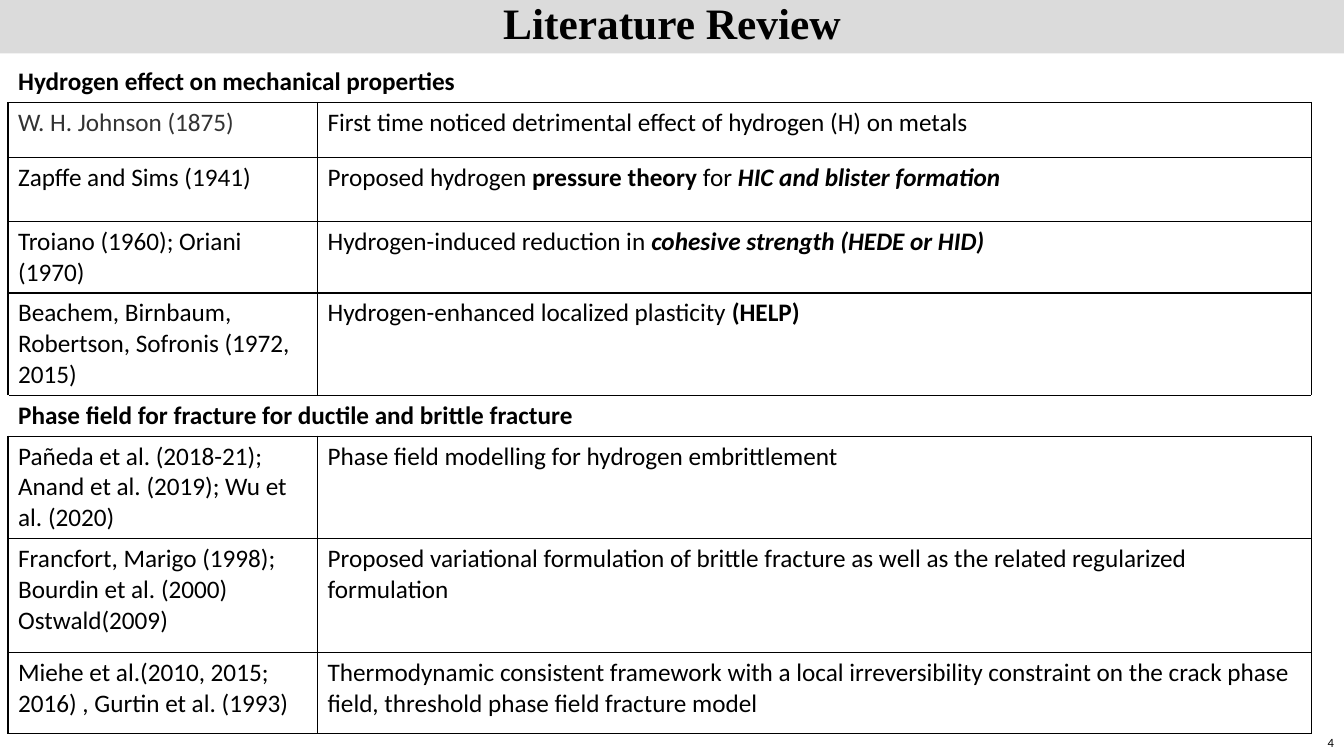
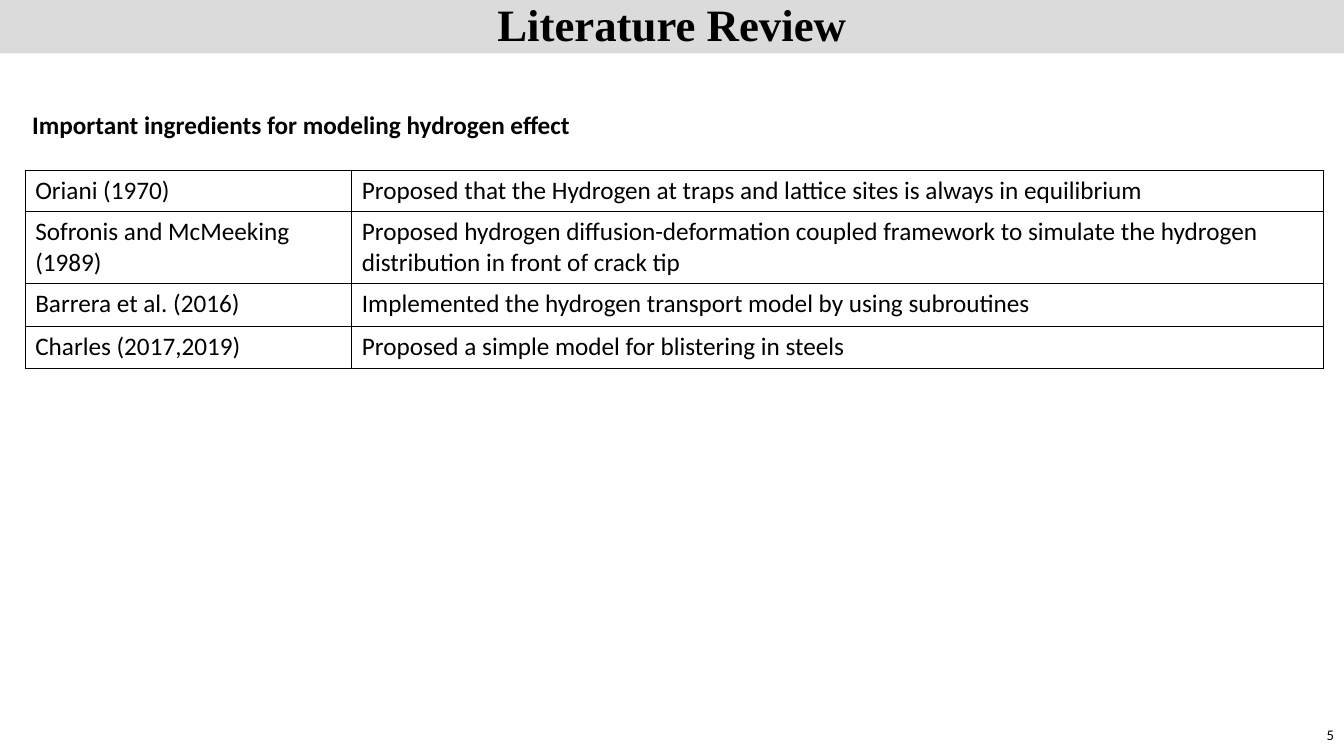
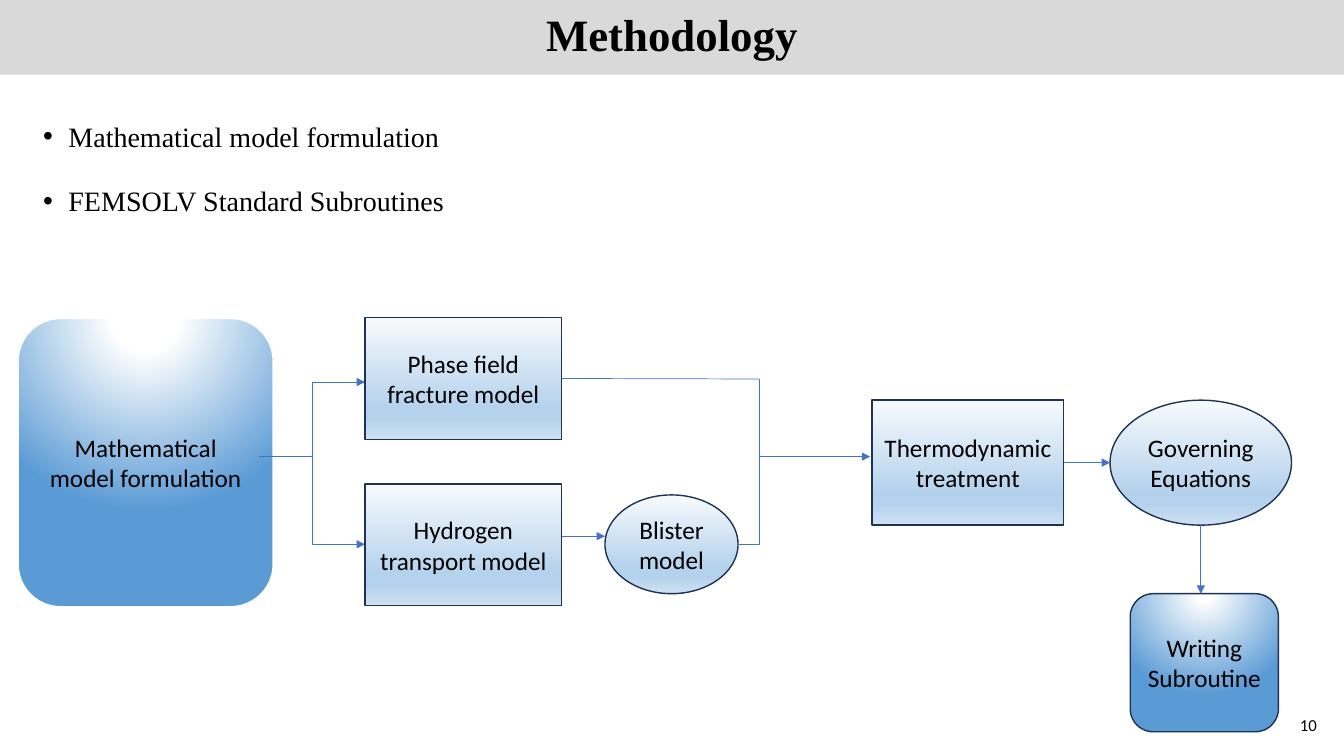
"""Build three slides: two literature review tables and a methodology flow chart."""
from pptx import Presentation
from pptx.dml.color import RGBColor
from pptx.enum.shapes import MSO_CONNECTOR, MSO_SHAPE
from pptx.enum.text import MSO_ANCHOR, PP_ALIGN
from pptx.oxml import parse_xml
from pptx.oxml.ns import nsdecls
from pptx.util import Inches, Pt

RECT = MSO_SHAPE.RECTANGLE
ROUND = MSO_SHAPE.ROUNDED_RECTANGLE
OVAL = MSO_SHAPE.OVAL
STRAIGHT = MSO_CONNECTOR.STRAIGHT
ELBOW = MSO_CONNECTOR.ELBOW
MIDDLE = MSO_ANCHOR.MIDDLE
LEFT, CENTER, RIGHT = PP_ALIGN.LEFT, PP_ALIGN.CENTER, PP_ALIGN.RIGHT

BLACK = RGBColor(0x00, 0x00, 0x00)
WHITE = RGBColor(0xFF, 0xFF, 0xFF)
CHARCOAL = RGBColor(0x33, 0x33, 0x33)
BAND = RGBColor(0xDB, 0xDB, 0xDB)
BAND_DARK = RGBColor(0xD9, 0xD9, 0xD9)
NAVY = RGBColor(0x1E, 0x32, 0x56)
ARROW = RGBColor(0x44, 0x72, 0xC4)
BLUE = RGBColor(0x5B, 0x9B, 0xD5)
PALE = RGBColor(0xF7, 0xFA, 0xFD)
SKY = RGBColor(0xB5, 0xD2, 0xEC)
MIST = RGBColor(0xCE, 0xE1, 0xF2)

SANS, SERIF = "Calibri", "Times New Roman"
SLIDE_W, SLIDE_H = 13.33, 7.5
BOTTOM, RIGHT_SIDE = 2, 3

LINEAR = '<a:lin ang="5400000" scaled="0"/>'
RADIAL = ('<a:path path="circle"><a:fillToRect l="50000" t="-80000" '
          'r="50000" b="180000"/></a:path>')
SOFT = ([(0, PALE), (74, SKY), (83, SKY), (100, MIST)], LINEAR)
GLOW = ([(0, WHITE), (17, WHITE), (100, BLUE)], RADIAL)
SMALL_GLOW = ([(0, WHITE), (7, WHITE), (100, BLUE)], RADIAL)

HYDROGEN_ROWS = [
    (0.39, [[("Hydrogen effect on mechanical properties", "b")]]),
    (0.55, [[("W. H. Johnson (1875)", "", CHARCOAL)],
            "First time noticed detrimental effect of hydrogen (H) on metals"]),
    (0.63, ["Zapffe and Sims (1941)",
            [("Proposed hydrogen ", ""), ("pressure theory ", "b"),
             ("for ", ""), ("HIC and blister formation", "bi")]]),
    (0.68, ["Troiano (1960); Oriani (1970)",
            [("Hydrogen-induced reduction in ", ""),
             ("cohesive strength (HEDE or HID)", "bi")]]),
    (0.98, ["Beachem, Birnbaum, Robertson, Sofronis (1972, 2015)",
            [("Hydrogen-enhanced localized plasticity ", ""),
             ("(HELP)", "b")]]),
    (0.39, [[("Phase field for fracture for ductile and brittle fracture",
              "b")]]),
    (1.01, ["Pañeda et al. (2018-21); Anand et al. (2019); Wu et al. (2020)",
            "Phase field modelling for hydrogen embrittlement"]),
    (1.13, ["Francfort, Marigo (1998);\nBourdin et al. (2000) Ostwald(2009)",
            "Proposed variational formulation of brittle fracture as well as "
            "the related regularized formulation"]),
    (0.8, ["Miehe et al.(2010, 2015; 2016) , Gurtin et al. (1993)",
           "Thermodynamic consistent framework with a local irreversibility "
           "constraint on the crack phase field, threshold phase field "
           "fracture model"]),
]

INGREDIENT_ROWS = [
    (0.41, ["Oriani (1970)",
            "Proposed that the Hydrogen at traps and lattice sites is always "
            "in equilibrium"]),
    (0.71, ["Sofronis and McMeeking (1989)",
            "Proposed hydrogen diffusion-deformation coupled framework to "
            "simulate the hydrogen distribution in front of crack tip"]),
    (0.43, ["Barrera et al. (2016)",
            "Implemented the hydrogen transport model by using subroutines"]),
    (0.42, ["Charles (2017,2019)",
            "Proposed a simple model for blistering in steels"]),
]


def write(tf, content, size=18, font=SANS, align=LEFT, spacing=None):
    """Fill a text frame from a string or a list of (text, style, colour) runs."""
    tf.word_wrap = True
    if isinstance(content, str):
        paras = [[(line, "")] for line in content.split("\n")]
    else:
        paras = [content]
    for i, runs in enumerate(paras):
        p = tf.add_paragraph() if i else tf.paragraphs[0]
        p.alignment = align
        p.line_spacing = spacing
        for text, style, *color in runs:
            r = p.add_run()
            r.text = text
            r.font.name = font
            r.font.size = Pt(size)
            r.font.bold = "b" in style
            r.font.italic = "i" in style
            r.font.color.rgb = color[0] if color else BLACK


def add_band(s, title, height=0.53, size=32, color=BAND, spacing=0.9):
    """Add the full-width title band."""
    sp = s.shapes.add_shape(RECT, 0, 0, Inches(SLIDE_W), Inches(height))
    sp.shadow.inherit = False
    sp.fill.solid()
    sp.fill.fore_color.rgb = color
    sp.line.fill.background()
    sp.text_frame.vertical_anchor = MIDDLE
    write(sp.text_frame, [(title, "b")], size, SERIF, CENTER, spacing)


def add_page_number(s, number, top, size, right=SLIDE_W):
    """Add a right-aligned page number."""
    width = 0.75
    sp = s.shapes.add_textbox(Inches(right - width), Inches(top),
                              Inches(width), Inches(0.4))
    sp.text_frame.vertical_anchor = MIDDLE
    write(sp.text_frame, number, size, align=RIGHT)


def style_cell(cell, edges):
    """Give a cell a white fill and black lines on the named edges."""
    cell.fill.solid()
    cell.fill.fore_color.rgb = WHITE
    tc_pr = cell._tc.get_or_add_tcPr()
    for i, edge in enumerate(edges):
        tc_pr.insert(i, parse_xml(
            f'<a:ln{edge} {nsdecls("a")} w="12700"><a:solidFill>'
            f'<a:srgbClr val="{BLACK}"/></a:solidFill></a:ln{edge}>'))


def add_grid(s, left, top, widths, rows, lined=True, spacing=None):
    """Add a table; a row with a single entry spans all columns."""
    heights = [height for height, _ in rows]
    frame = s.shapes.add_table(len(rows), len(widths), Inches(left),
                               Inches(top), Inches(sum(widths)),
                               Inches(sum(heights)))
    table = frame.table
    table.first_row = False
    table.horz_banding = False
    for column, width in zip(table.columns, widths):
        column.width = Inches(width)
    for i, (height, entries) in enumerate(rows):
        table.rows[i].height = Inches(height)
        cells = list(table.rows[i].cells)
        edges = "LRTB" if lined else ""
        if len(entries) < len(cells):
            cells[0].merge(cells[-1])
            edges = "TB" if i else "B"
        for cell in cells:
            style_cell(cell, edges)
        for cell, entry in zip(cells, entries):
            write(cell.text_frame, entry, spacing=spacing)
    return table


def add_bullets(s, left, top, width, height, items):
    """Add a bulleted list."""
    sp = s.shapes.add_textbox(Inches(left), Inches(top), Inches(width),
                              Inches(height))
    write(sp.text_frame, "\n".join(items), 20, SERIF, spacing=1.5)
    for p in sp.text_frame.paragraphs:
        p.space_before = Pt(10)
        p_pr = p._p.get_or_add_pPr()
        p_pr.set("marL", str(Inches(0.25)))
        p_pr.set("indent", str(Inches(-0.25)))
        p_pr.append(parse_xml(f'<a:buFont {nsdecls("a")} typeface="Arial"/>'))
        p_pr.append(parse_xml(f'<a:buChar {nsdecls("a")} char="•"/>'))


def add_node(s, kind, left, top, width, height, text, gradient=SOFT,
             line=NAVY):
    """Add a gradient-filled flow chart node."""
    sp = s.shapes.add_shape(kind, Inches(left), Inches(top), Inches(width),
                            Inches(height))
    stops, direction = gradient
    gs = "".join(f'<a:gs pos="{pos * 1000}"><a:srgbClr val="{color}"/></a:gs>'
                 for pos, color in stops)
    sp._element.spPr.insert(2, parse_xml(
        f'<a:gradFill {nsdecls("a")} rotWithShape="1"><a:gsLst>{gs}</a:gsLst>'
        f'{direction}</a:gradFill>'))
    sp.shadow.inherit = False
    sp.line.color.rgb = line
    sp.line.width = Pt(1)
    sp.text_frame.vertical_anchor = MIDDLE
    write(sp.text_frame, text, align=CENTER)
    return sp


def add_link(s, kind, x1, y1, x2, y2, arrow=True):
    """Add a thin connector, with an arrowhead at its end if asked."""
    link = s.shapes.add_connector(kind, Inches(x1), Inches(y1), Inches(x2),
                                  Inches(y2))
    link.line.color.rgb = ARROW
    link.line.width = Pt(0.5)
    if arrow:
        link.line._get_or_add_ln().append(
            parse_xml(f'<a:tailEnd {nsdecls("a")} type="triangle"/>'))
    link._element.spPr.append(parse_xml(f'<a:effectLst {nsdecls("a")}/>'))
    return link


def build_review(s):
    """Build the slide on hydrogen effects and phase field fracture."""
    add_grid(s, 0.08, 0.61, [3.07, 9.86], HYDROGEN_ROWS)
    add_band(s, "Literature Review", size=31, spacing=0.8)
    add_page_number(s, "4", 7.17, 9)


def build_ingredients(s):
    """Build the slide on modelling ingredients."""
    heading = [(0.62, [[("Important ingredients for modeling hydrogen effect",
                         "b")]])]
    table = add_grid(s, 0.25, 1.07, [13.08], heading, False, 1.07)
    cell = table.cell(0, 0)
    cell.margin_left = cell.margin_right = Inches(0.07)
    cell.margin_top = cell.margin_bottom = 0
    add_grid(s, 0.25, 1.69, [3.24, 9.64], INGREDIENT_ROWS)
    add_page_number(s, "5", 7.09, 10.5)
    add_band(s, "Literature Review")


def build_methodology(s):
    """Build the methodology flow chart."""
    add_band(s, "Methodology", 0.74, color=BAND_DARK)
    add_bullets(s, 0.33, 0.97, 5.85, 2.8,
                ["Mathematical model formulation",
                 "FEMSOLV Standard Subroutines"])
    add_page_number(s, "10", 6.99, 12, 13.16)

    add_node(s, ROUND, 0.18, 3.16, 2.53, 2.86,
             "Mathematical model formulation", GLOW, WHITE)
    add_link(s, ELBOW, 2.58, 4.53, 3.62, 5.4)
    add_link(s, ELBOW, 2.57, 4.53, 3.62, 3.79)
    phase = add_node(s, RECT, 3.62, 3.15, 1.95, 1.21,
                     "Phase field fracture model")
    add_node(s, RECT, 3.62, 4.8, 1.95, 1.21, "Hydrogen transport model")
    add_node(s, OVAL, 6, 4.91, 1.32, 0.98, "Blister model")
    thermo = add_node(s, RECT, 8.65, 3.97, 1.9, 1.24,
                      "Thermodynamic treatment")
    add_node(s, OVAL, 11.01, 3.97, 1.8, 1.24, "Governing Equations")
    add_node(s, ROUND, 11.21, 5.89, 1.47, 1.37, "Writing Subroutine",
             SMALL_GLOW)

    add_link(s, STRAIGHT, 5.57, 5.32, 6, 5.32)
    corner = add_link(s, ELBOW, 7.32, 5.4, 7.53, 3.76, False)
    corner._element.spPr.prstGeom.set("prst", "bentConnector2")
    merge = add_link(s, STRAIGHT, 5.57, 3.76, 7.53, 3.76, False)
    merge.begin_connect(phase, RIGHT_SIDE)
    add_link(s, STRAIGHT, 7.53, 4.53, 8.63, 4.53)
    govern = add_link(s, STRAIGHT, 10.55, 4.59, 11.01, 4.59)
    govern.begin_connect(thermo, RIGHT_SIDE)
    add_link(s, STRAIGHT, 11.91, 5.21, 11.91, 5.89)


def main():
    """Build and save the presentation."""
    prs = Presentation()
    prs.slide_width, prs.slide_height = Inches(SLIDE_W), Inches(SLIDE_H)
    for build in (build_review, build_ingredients, build_methodology):
        build(prs.slides.add_slide(prs.slide_layouts[6]))
    prs.save("out.pptx")


if __name__ == "__main__":
    main()
